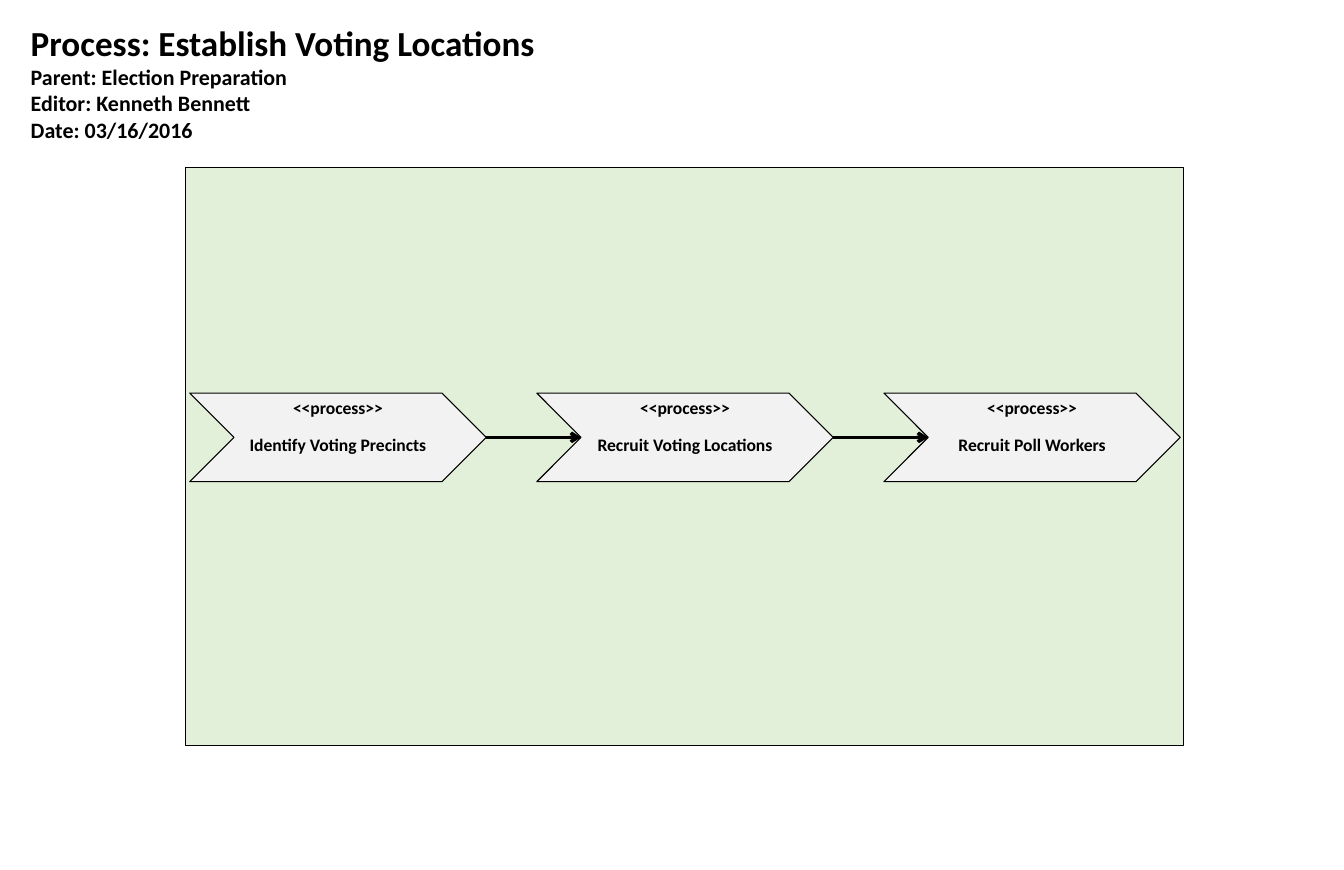
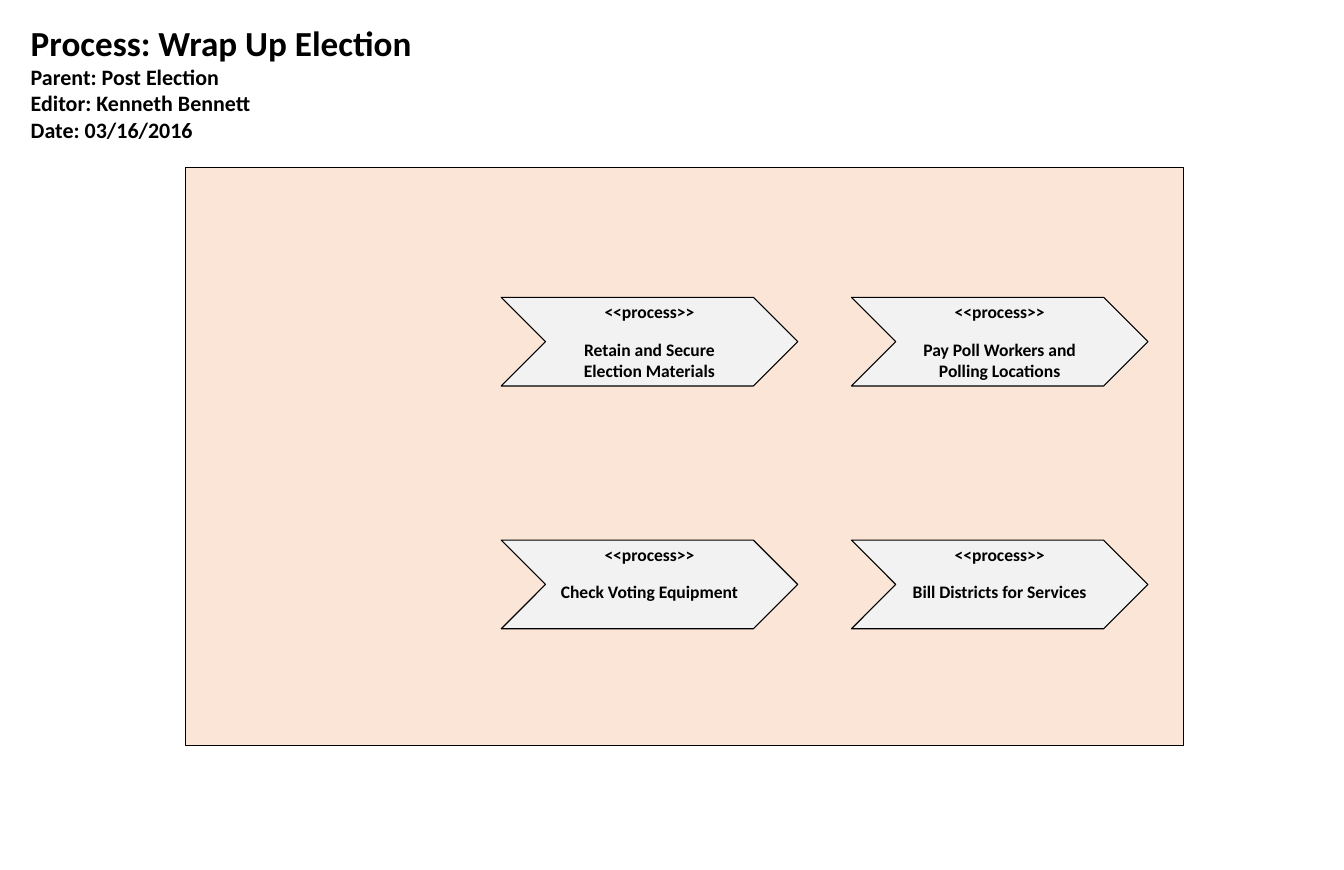
from dataclasses import dataclass

from pptx import Presentation
from pptx import oxml as ox
from pptx import util as u
from pptx.dml import color as dml
from pptx.enum import shapes, text
from pptx.oxml import ns


@dataclass(frozen=True)
class Theme:
    font: str = "Calibri"
    ink: str = "000000"
    process_fill: str = "F2F2F2"
    preparation_fill: str = "E2F0D9"
    wrap_up_fill: str = "FBE5D6"
    title_size: float = 32
    detail_size: float = 20
    process_size: float = 16
    outline: float = 1
    arrow: float = 3


@dataclass(frozen=True)
class Box:
    left: float
    top: float
    width: float
    height: float

    def lengths(self) -> list[u.Length]:
        return [u.Pt(value) for value in (self.left, self.top, self.width, self.height)]


@dataclass(frozen=True)
class Grid:
    left: float
    top: float
    column_pitch: float
    row_pitch: float = 0

    def cell(self, row: int, column: int) -> Box:
        return Box(
            self.left + column * self.column_pitch,
            self.top + row * self.row_pitch,
            PROCESS_WIDTH,
            PROCESS_HEIGHT,
        )


@dataclass(frozen=True)
class ProcessPage:
    title: str
    parent: str
    heading_width: float
    fill: str
    grid: Grid
    rows: tuple[tuple[str, ...], ...]
    linked: bool


THEME = Theme()
PROCESS_WIDTH = 270
PROCESS_HEIGHT = 80.64
NAME_GAP = 14.65
PANEL = Box(169.2, 152.64, 908.64, 526.32)

PAGES = (
    ProcessPage(
        "Establish Voting Locations",
        "Election Preparation",
        1130.4,
        THEME.preparation_fill,
        Grid(172.8, 357.84, 316.08),
        (("Identify Voting Precincts", "Recruit Voting Locations", "Recruit Poll Workers"),),
        True,
    ),
    ProcessPage(
        "Wrap Up Election",
        "Post Election",
        1122.48,
        THEME.wrap_up_fill,
        Grid(456.48, 270.72, 318.96, 221.04),
        (
            ("Retain and Secure Election Materials", "Pay Poll Workers and Polling Locations"),
            ("Check Voting Equipment", "Bill Districts for Services"),
        ),
        False,
    ),
)


def set_attributes(target, values: dict) -> None:
    for name, value in values.items():
        setattr(target, name, value)


def write_lines(frame, lines: list[tuple[str, float]], paragraph_format: dict) -> None:
    for index, (line, size) in enumerate(lines):
        paragraph = frame.paragraphs[0] if index == 0 else frame.add_paragraph()
        run = paragraph.add_run()
        run.text = line
        set_attributes(run.font, {"name": THEME.font, "size": u.Pt(size), "bold": True})
        run.font.color.rgb = dml.RGBColor.from_string(THEME.ink)
        set_attributes(paragraph, paragraph_format if index else
                       {**paragraph_format, "space_before": u.Pt(0)})


def draw_heading(slide, page: ProcessPage) -> None:
    box = Box(20.88, 15.84, page.heading_width, 118.8)
    frame = slide.shapes.add_textbox(*box.lengths()).text_frame
    set_attributes(frame, {"word_wrap": True, "auto_size": text.MSO_AUTO_SIZE.SHAPE_TO_FIT_TEXT})
    details = (f"Parent: {page.parent}", "Editor: Kenneth Bennett", "Date: 03/16/2016")
    lines = [(f"Process: {page.title}", THEME.title_size)]
    lines += [(detail, THEME.detail_size) for detail in details]
    write_lines(frame, lines, {"alignment": text.PP_ALIGN.LEFT})


def draw_shape(slide, kind: shapes.MSO_SHAPE, box: Box, fill: str):
    shape = slide.shapes.add_shape(kind, *box.lengths())
    shape.shadow.inherit = False
    shape.fill.solid()
    shape.fill.fore_color.rgb = dml.RGBColor.from_string(fill)
    shape.line.color.rgb = dml.RGBColor.from_string(THEME.ink)
    shape.line.width = u.Pt(THEME.outline)
    return shape


def draw_process(slide, box: Box, name: str) -> None:
    shape = draw_shape(slide, shapes.MSO_SHAPE.CHEVRON, box, THEME.process_fill)
    frame = shape.text_frame
    set_attributes(frame, {"word_wrap": True, "vertical_anchor": text.MSO_ANCHOR.TOP})
    lines = [(line, THEME.process_size) for line in ("<<process>>", name)]
    write_lines(frame, lines,
                {"alignment": text.PP_ALIGN.CENTER, "space_before": u.Pt(NAME_GAP)})


def draw_arrow(slide, source: Box, target: Box) -> None:
    middle = source.top + source.height / 2
    notch = target.left + target.height / 2
    ends = (source.left + source.width, middle, notch, middle)
    connector = slide.shapes.add_connector(
        shapes.MSO_CONNECTOR.STRAIGHT, *(u.Pt(value) for value in ends)
    )
    connector.line.color.rgb = dml.RGBColor.from_string(THEME.ink)
    connector.line.width = u.Pt(THEME.arrow)
    head = ox.parse_xml(f'<a:tailEnd {ns.nsdecls("a")} type="arrow"/>')
    connector.line._get_or_add_ln().append(head)
    connector._element.spPr.append(ox.parse_xml(f'<a:effectLst {ns.nsdecls("a")}/>'))


def draw_page(slide, page: ProcessPage) -> None:
    draw_heading(slide, page)
    draw_shape(slide, shapes.MSO_SHAPE.RECTANGLE, PANEL, page.fill)
    for row, names in enumerate(page.rows):
        boxes = [page.grid.cell(row, column) for column in range(len(names))]
        for box, name in zip(boxes, names):
            draw_process(slide, box, name)
        if page.linked:
            for source, target in zip(boxes, boxes[1:]):
                draw_arrow(slide, source, target)


def main() -> None:
    presentation = Presentation()
    set_attributes(presentation, {"slide_width": u.Pt(1224), "slide_height": u.Pt(792)})
    blank = presentation.slide_layouts[6]
    for page in PAGES:
        draw_page(presentation.slides.add_slide(blank), page)
    presentation.save("out.pptx")


if __name__ == "__main__":
    main()
